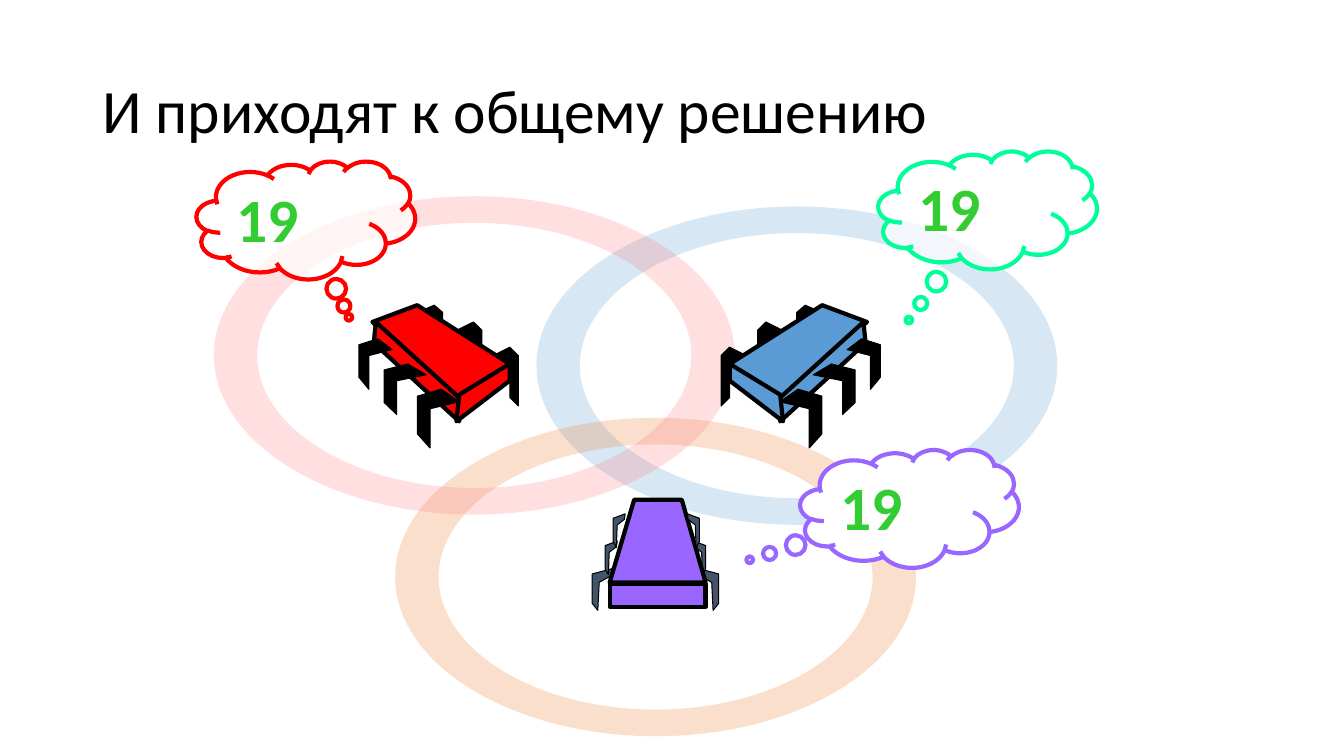
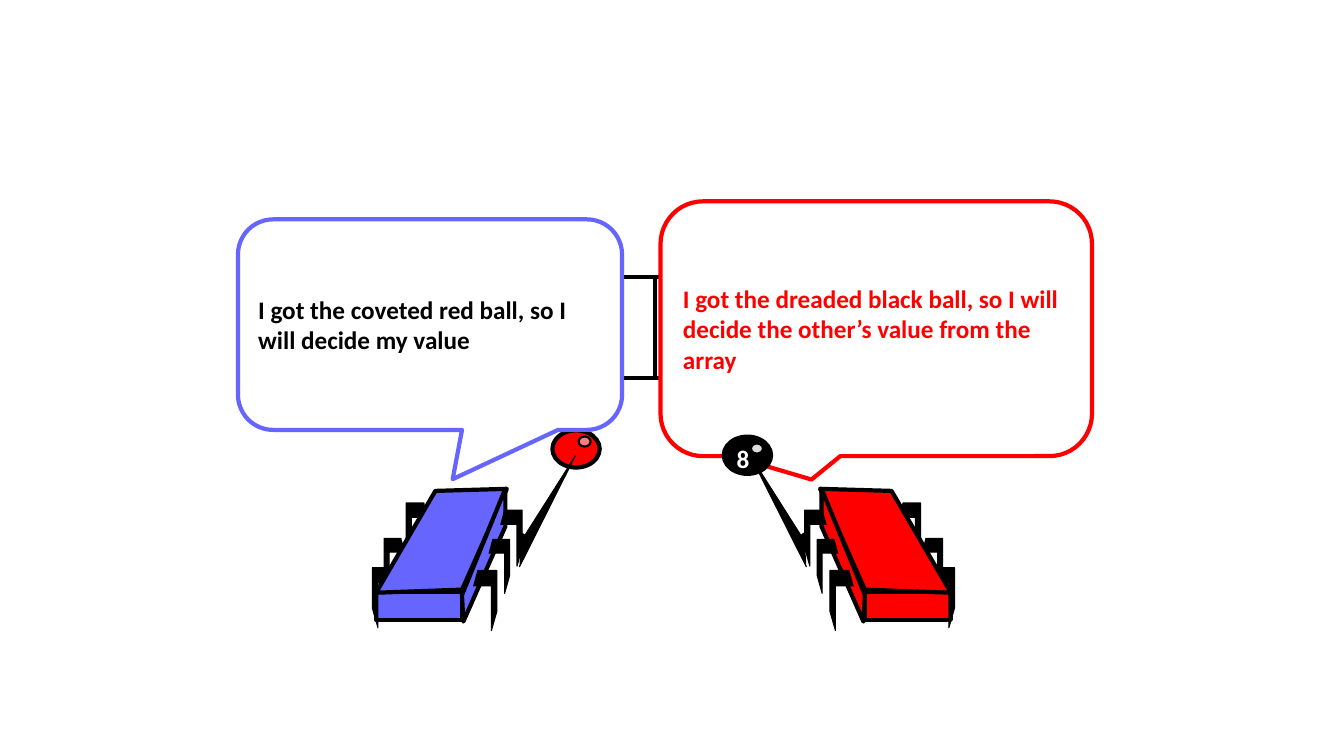
from lxml.etree import SubElement
from pptx import Presentation
from pptx.dml.color import RGBColor
from pptx.enum.shapes import MSO_SHAPE
from pptx.enum.text import MSO_ANCHOR, PP_ALIGN
from pptx.oxml.ns import qn
from pptx.util import Pt

BLACK, WHITE, RED, PINK = "000000", "FFFFFF", "FF0000", "FF7C80"
BLUE, VIOLET, INDIGO = "5B9BD5", "9966FF", "6666FF"
SLATE, GREEN = "44546A", "33CC33"
RECT, OVAL = MSO_SHAPE.RECTANGLE, MSO_SHAPE.OVAL
CLOUD, BUBBLE = MSO_SHAPE.CLOUD_CALLOUT, MSO_SHAPE.ROUNDED_RECTANGULAR_CALLOUT


def paint(fill, tint, alpha=100):
    """Give a fill one solid colour, with its opacity in percent."""
    fill.solid()
    fill.fore_color.rgb = RGBColor.from_string(tint)
    if alpha < 100:
        tag = fill._xPr.find(".//" + qn("a:srgbClr"))
        SubElement(tag, qn("a:alpha"), val=str(alpha * 1000))


def put(slide, form, box, fill, edge=BLACK, weight=3, alpha=100, adjust=(), close=True):
    """Add a preset shape in a box, or an outline from a list of contours."""
    if box:
        shape = slide.shapes.add_shape(form, *map(Pt, box))
    else:
        pen = None
        for contour in form:
            dots = [(x * 100, y * 100) for x, y in contour]
            if pen is None:
                pen = slide.shapes.build_freeform(*dots[0], scale=Pt(0.01))
            else:
                pen.move_to(*dots[0])
            pen.add_line_segments(dots[1:], close=close)
        shape = pen.convert_to_shape()
    for index, value in enumerate(adjust):
        shape.adjustments[index] = value
    shape.shadow.inherit = False
    paint(shape.fill, fill, alpha)
    if edge:
        paint(shape.line.fill, edge)
        shape.line.width = Pt(weight)
    else:
        shape.line.fill.background()
    return shape


deck = Presentation()
deck.slide_width, deck.slide_height = Pt(960), Pt(540)
agree, choose = [deck.slides.add_slide(deck.slide_layouts[6]) for _ in range(2)]
texts = []

# Title
title = agree.shapes.add_textbox(Pt(66), Pt(28.75), Pt(828), Pt(104.38))
texts.append((title, "И приходят к общему решению", 44, BLACK, False))

# Rings: two ellipses of four Bezier curves, the inner one run the other way
BEND = 0.55
round_dots = [(-1, 0), (-1, -BEND), (-BEND, -1), (0, -1), (BEND, -1), (1, -BEND), (1, 0),
              (1, BEND), (BEND, 1), (0, 1), (-BEND, 1), (-1, BEND), (-1, 0)]
for x, y, tint in ((569.2, 261.2, BLUE), (468.3, 412.2, "ED7D31"), (338.8, 253.9, PINK)):
    form = [[(x + wide * a, y + turn * high * b) for a, b in round_dots]
            for wide, high, turn in ((186, 113.7, 1), (155, 94.7, -1))]
    ring = put(agree, form, None, tint, None, alpha=24)
    steps = list(ring._element.iter(qn("a:lnTo")))
    for first, second, third in zip(steps[::3], steps[1::3], steps[2::3]):
        first.tag = qn("a:cubicBezTo")
        for step in (second, third):
            first.append(step[0])
            step.getparent().remove(step)

# Parts that lie behind the robots
AXIS = 947.8
put(agree, RECT, (435.6, 416.9, 68.4, 16.6), VIOLET)
put(choose, RECT, (268.6, 422.6, 61.2, 20.2), INDIGO)
put(choose, RECT, (AXIS - 268.6 - 61.2, 422.6, 61.2, 20.2), RED)
for x in (396, 468):
    put(choose, RECT, (x, 198, 72, 72), WHITE)
put(choose, OVAL, (394.6, 307.4, 33.8, 26.6), RED)
put(choose, OVAL, (413.3, 311.8, 8.6, 7.2), PINK, weight=1.5)

# Leg outlines, each placed by x, y and two scales
rear = [(0, 6), (12, 0), (18, 6), (18, 42), (12, 36), (12, 12), (0, 18)]
fore = [(17, 0), (30, 9), (9, 14), (9, 42), (0, 32), (0, 5)]
thin = [(0, 0), (15, 4), (15, 25), (11, 30), (10, 10), (1, 5)]
hook = [(14, 0), (0, 0), (0, 29), (4, 43), (4, 11), (17, 11)]

# Robot parts from back to front; None takes the robot's own colour
chip = [
    (rear, 352.2, 248, 1, 1, BLACK), (rear, 326.2, 230, 1, 1, BLACK),
    (rear, 298.2, 218, 1, 0.86, BLACK),
    ([(298, 218), (364, 260), (328, 285), (266, 230)], 0, 0, 1, 1, None),
    ([(268.5, 230), (328, 284), (328, 301), (267, 245)], 0, 0, 1, 1, None),
    ([(364, 260), (364, 272), (326, 301), (328, 282)], 0, 0, 1, 1, None),
    (fore, 298.2, 278, 1, 1, BLACK), (fore, 274.4, 260, 1, 0.86, BLACK),
    (fore, 256.4, 242, 0.79, 0.86, BLACK),
]
low = [(thin, 498.4, 406, 1, 1, SLATE), (thin, 495.5, 386.5, 0.57, 0.8, SLATE)]
lid = [([(435.5, 416), (453, 357), (487, 357), (504, 416)], 0, 0, 1, 1, None)]
high = [(thin, 491, 367, 0.57, 0.8, SLATE)]
bug = [
    (hook, 266, 405.4, 1, 1, BLACK), (hook, 274.4, 384.5, 0.88, 0.9, BLACK),
    (hook, 290.2, 359.3, 0.92, 0.93, BLACK),
    ([(268.6, 423.4), (330, 421.2), (362, 349.2), (311, 350.7)], 0, 0, 1, 1, None),
    ([(361, 349), (361, 376), (331, 444), (330, 425)], 0, 0, 1, 1, None),
    (hook, 355, 407.5, -1, 1, BLACK), (hook, 364, 385.2, -0.88, 0.9, BLACK),
    (hook, 373, 364.3, -0.92, 0.93, BLACK),
]
arm = [([(371, 405), (411, 325.5), (372, 387)], 0, 0, 1, 1, BLACK)]

# Each robot is drawn as given, or mirrored about half its axis
for slide, parts, axis, flip, tint in (
        (agree, low, 0, 1, VIOLET), (agree, low, 936.4, -1, VIOLET),
        (agree, lid, 0, 1, VIOLET),
        (agree, high, 0, 1, VIOLET), (agree, high, 937.6, -1, VIOLET),
        (agree, chip, 0, 1, RED), (agree, chip, 885.3, -1, BLUE),
        (choose, bug, 0, 1, INDIGO), (choose, bug, AXIS, -1, RED),
        (choose, arm, 0, 1, BLACK), (choose, arm, 947, -1, BLACK)):
    for dots, x, y, wide, tall, fill in parts:
        path = [(axis + flip * (x + wide * a), y + tall * b) for a, b in dots]
        limb = put(slide, [path], None, fill or tint, weight=0.75 if fill else 3,
                   close=dots is not hook and parts is not arm)
        if parts is arm:
            SubElement(limb.line._get_or_add_ln(), qn("a:tailEnd"), type="triangle")

# Thoughts and speech
for x, y, edge, alpha, adjust in (
        (140.4, 115.2, RED, 70, (0.197, 0.824)),
        (627.4, 108, "00FF99", 70, (-0.36, 0.933)),
        (571.6, 321.2, VIOLET, 100, (-0.731, 0.435))):
    cloud = put(agree, CLOUD, (x, y, 156.2, 84.2), WHITE, edge, alpha=alpha, adjust=adjust)
    texts.append((cloud, "19", 44, GREEN, True))
for box, edge, adjust, tint, words in (
        ((170, 156.7, 274.4, 150.4), INDIGO, (0.059, 0.734, 0.167), BLACK,
         "I got the coveted red ball, so I will decide my value"),
        ((471.8, 143.8, 308.2, 182), RED, (-0.15, 0.592, 0.167), RED,
         "I got the dreaded black ball, so I will decide the other’s value from the array")):
    speech = put(choose, BUBBLE, box, WHITE, edge, adjust=adjust)
    texts.append((speech, words, 18, tint, True))

# Black ball, in front of the speech
put(choose, OVAL, (517, 311.9, 33.8, 26.6), BLACK)
put(choose, OVAL, (536.4, 316.8, 8.6, 7.2), "DDDDDD", weight=1.5)
eight = choose.shapes.add_textbox(Pt(517.2), Pt(313), Pt(25.2), Pt(29))
texts.append((eight, "8", 18, WHITE, True))

# Wording
for shape, words, size, tint, bold in texts:
    frame = shape.text_frame
    frame.word_wrap = True
    frame.vertical_anchor = MSO_ANCHOR.MIDDLE
    line = frame.paragraphs[0]
    line.alignment = PP_ALIGN.LEFT
    run = line.add_run()
    run.text = words
    for key, value in {"name": "Calibri", "size": Pt(size), "bold": bold}.items():
        setattr(run.font, key, value)
    paint(run.font.fill, tint)
title.text_frame.paragraphs[0].line_spacing = 0.9
eight.text_frame.word_wrap = False
eight.text_frame.vertical_anchor = MSO_ANCHOR.TOP
eight.text_frame.paragraphs[0].alignment = PP_ALIGN.RIGHT

deck.save("out.pptx")
